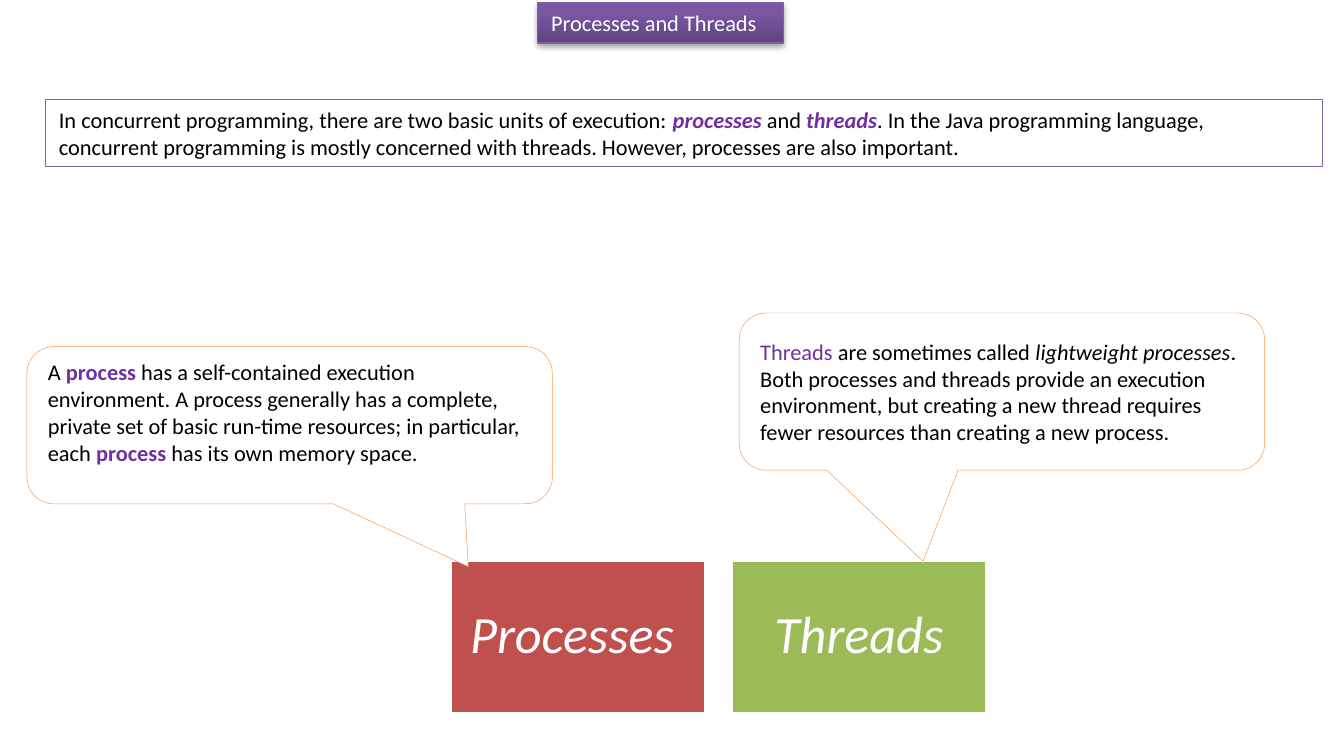
from dataclasses import dataclass

from lxml.etree import SubElement
from pptx import Presentation
from pptx.dml.color import RGBColor
from pptx.enum.shapes import MSO_SHAPE
from pptx.enum.text import MSO_ANCHOR, MSO_AUTO_SIZE, PP_ALIGN
from pptx.oxml.ns import qn
from pptx.util import Pt

SCALE = 9144


@dataclass(frozen=True)
class Theme:
    font: str = "Calibri"
    body: int = 12
    big: int = 28
    white: str = "FFFFFF"
    black: str = "000000"
    key: str = "7030A0"
    frame: str = "8064A2"
    edge: str = "F79646"
    red: str = "C0504D"
    green: str = "9BBB59"
    dark: str = "5F4480"
    light: str = "7B58A6"
    rim: str = "7D60A0"


THEME = Theme()


@dataclass(frozen=True)
class Run:
    text: str
    color: str = THEME.black
    bold: bool = False
    italic: bool = False
    size: int = THEME.body


@dataclass(frozen=True)
class Box:
    place: tuple[int, int, int, int]
    lines: list[list[Run]]
    fill: str = THEME.white
    line: str = THEME.edge
    width: float = 0.25
    kind: MSO_SHAPE = MSO_SHAPE.RECTANGLE
    adjust: tuple[float, ...] = ()
    inset: tuple[int, int, int, int] = (10, 5, 10, 5)
    anchor: MSO_ANCHOR = MSO_ANCHOR.MIDDLE
    align: PP_ALIGN = PP_ALIGN.LEFT
    space: float = 1.0


def px(count: int) -> int:
    return count * SCALE


def apply(target, values: dict) -> None:
    for name, value in values.items():
        setattr(target, name, value)


def put(shape, place: tuple[int, int, int, int]) -> None:
    apply(shape, dict(zip(("left", "top", "width", "height"), map(px, place))))


def write(shape, box: Box) -> None:
    frame = shape.text_frame
    sides = ("margin_left", "margin_top", "margin_right", "margin_bottom")
    apply(frame, dict(zip(sides, map(px, box.inset))))
    apply(frame, {"word_wrap": True, "auto_size": MSO_AUTO_SIZE.NONE,
                  "vertical_anchor": box.anchor})
    for index, line in enumerate(box.lines):
        para = frame.add_paragraph() if index else frame.paragraphs[0]
        apply(para, {"alignment": box.align, "line_spacing": box.space})
        for item in line:
            run = para.add_run()
            run.text = item.text
            apply(run.font, {"name": THEME.font, "size": Pt(item.size),
                             "bold": item.bold, "italic": item.italic})
            run.font.color.rgb = RGBColor.from_string(item.color)


def outline(shape, box: Box) -> None:
    shape.line.color.rgb = RGBColor.from_string(box.line)
    shape.line.width = Pt(box.width)


def draw(slide, box: Box) -> None:
    shape = slide.shapes.add_shape(box.kind, *map(px, box.place))
    for index, value in enumerate(box.adjust):
        shape.adjustments[index] = value
    shape.shadow.inherit = False
    shape.fill.solid()
    shape.fill.fore_color.rgb = RGBColor.from_string(box.fill)
    outline(shape, box)
    write(shape, box)


def shade(shape) -> None:
    effects = SubElement(shape.element.spPr, qn("a:effectLst"))
    cast = SubElement(effects, qn("a:outerShdw"), blurRad=str(Pt(3.1)),
                      dist=str(Pt(1.8)), dir="5400000", rotWithShape="0")
    color = SubElement(cast, qn("a:srgbClr"), val=THEME.black)
    SubElement(color, qn("a:alpha"), val="35000")


def head(slide, box: Box) -> None:
    shape = slide.shapes.title
    put(shape, box.place)
    shape.fill.gradient()
    shape.fill.gradient_angle = 90
    tones = ((0, THEME.dark), (0.8, THEME.light))
    for stop, (spot, color) in zip(shape.fill.gradient_stops, tones):
        stop.position = spot
        stop.color.rgb = RGBColor.from_string(color)
    outline(shape, box)
    shade(shape)
    write(shape, box)


def card(index: int, name: str, fill: str) -> Box:
    wide, gap = 190, 19
    return Box((335 + index * (wide + gap), 417, wide, 114),
               [[Run(name, THEME.white, italic=True, size=THEME.big)]],
               fill, THEME.white, 2, inset=(12, 12, 12, 12),
               align=PP_ALIGN.CENTER, space=0.9)


def bubble(left: int, top: int, tip: tuple[float, float], runs: list[Run],
           inset: tuple[int, int, int, int] = (10, 5, 10, 5)) -> Box:
    return Box((left, top, 391, 117), [runs], inset=inset,
               kind=MSO_SHAPE.ROUNDED_RECTANGULAR_CALLOUT, adjust=(*tip, 0.17))


TITLE = Box((400, 2, 183, 30), [[Run("Processes and Threads", THEME.white)]],
            line=THEME.rim, width=0.75, anchor=MSO_ANCHOR.TOP)

INTRO = Box((34, 74, 950, 50), [
    [Run("In concurrent programming, there are two basic units of execution: "),
     Run("processes", THEME.key, True, True),
     Run(" and "),
     Run("threads", THEME.key, True, True),
     Run(". In the Java programming language,")],
    [Run("concurrent programming is mostly concerned with threads. "
         "However, processes are also important.")],
], line=THEME.frame, anchor=MSO_ANCHOR.TOP)

BOXES = [
    card(0, "Processes ", THEME.red),
    card(1, "Threads", THEME.green),
    INTRO,
    bubble(20, 258, (0.34, 0.9), [
        Run("A "),
        Run("process", THEME.key, True),
        Run(" has a self-contained execution environment. A process generally "
            "has a complete, private set of basic run-time resources; "
            "in particular, each "),
        Run("process", THEME.key, True),
        Run(" has its own memory space."),
    ], (10, 0, 10, 20)),
    bubble(550, 233, (-0.15, 1.08), [
        Run("Threads", THEME.key),
        Run(" are sometimes called "),
        Run("lightweight processes", italic=True),
        Run(". Both processes and threads provide an execution environment, "
            "but creating a new thread requires fewer resources than "
            "creating a new process."),
    ]),
]


def main() -> None:
    deck = Presentation()
    apply(deck, {"slide_width": px(1000), "slide_height": px(550)})
    slide = deck.slides.add_slide(deck.slide_layouts[5])
    head(slide, TITLE)
    for box in BOXES:
        draw(slide, box)
    deck.save("out.pptx")


if __name__ == "__main__":
    main()
